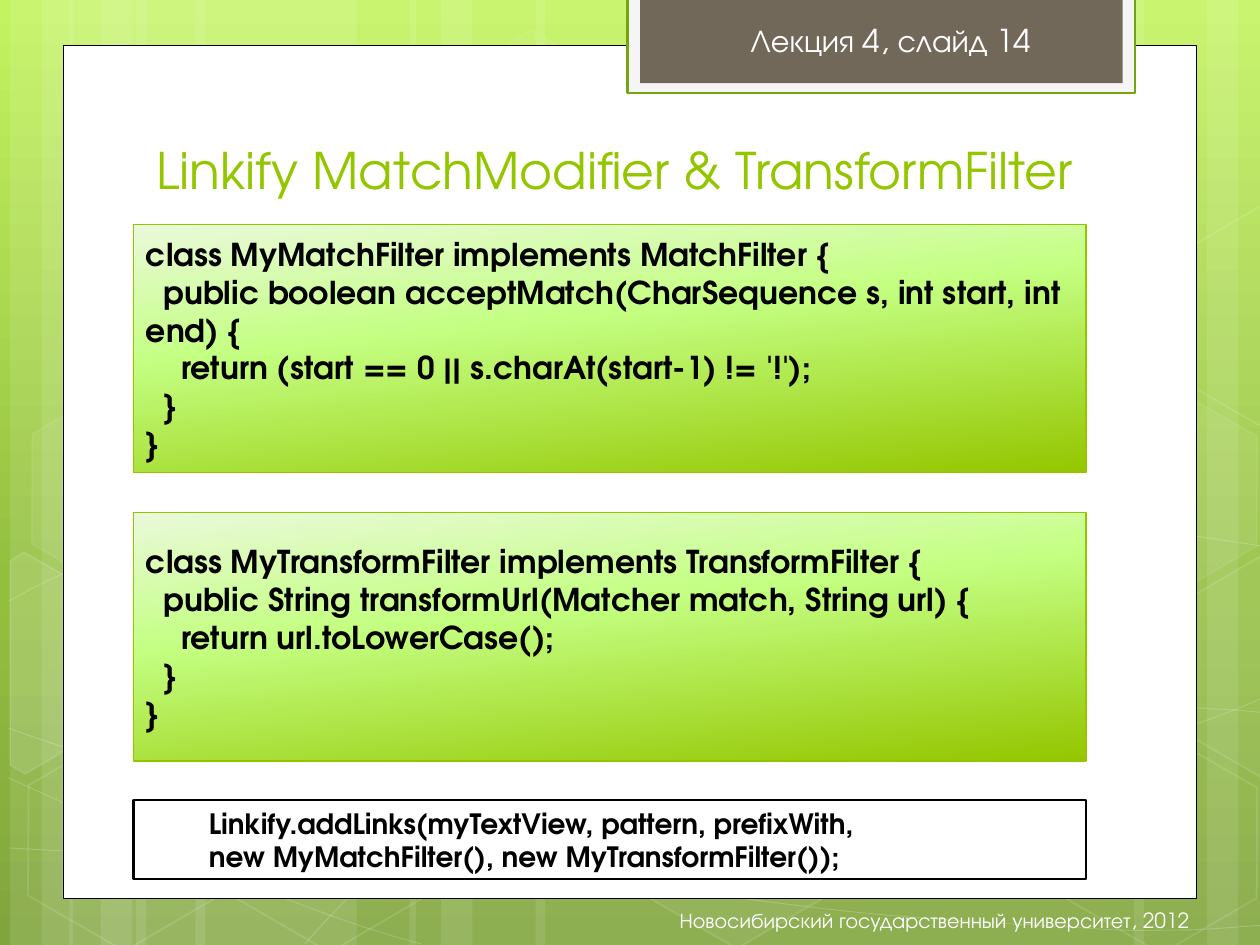
from copy import deepcopy
from math import cos, radians, sin
from typing import NamedTuple

from lxml.etree import SubElement
from pptx import Presentation
from pptx.dml.color import RGBColor
from pptx.enum.shapes import MSO_SHAPE
from pptx.enum.text import MSO_ANCHOR, PP_ALIGN
from pptx.oxml.ns import qn
from pptx.util import Cm, Pt

FONT = "TeX Gyre Adventor"
COLORS = {
    "white": "FFFFFF", "black": "000000", "lime": "94C600", "moss": "74A510",
    "tab_edge": "F5F5F5", "tab": "71685A",
}
PAGE_GRADIENT = [(0, "C3F35F"), (0.62, "93BF3F"), (1, "81A53E")]
CODE_GRADIENT = [(0, "EAF9DA"), (0.4, "C4FF82"), (1, "94C600")]

# Backdrop geometry, in inches from the corner of the page
STRIPES = [
    (1.08, 1.75), (0.08, 0.5), (0.33, 0.83), (1.55, 1.75), (0.55, 0.5), (0.8, 0.83),
    (7.33, 1.75), (9.58, 0.5), (9, 0.83), (4.25, 3.08), (3.25, 0.5), (3.5, 0.83),
]
# Each curve: a start point, then two control points and an end point per segment
CURVES = [
    [(0.07, 6.73), (0.61, 6.76), (1.15, 6.79), (1.9, 6.78), (2.65, 6.77), (3.58, 6.75),
     (4.58, 6.65), (5.58, 6.55), (7, 6.36), (7.92, 6.17), (8.83, 5.98), (9.77, 5.68),
     (10.07, 5.51)],
    [(0.07, 4.77), (0.36, 4.61), (0.65, 4.46), (1.21, 4.31), (1.78, 4.16), (2.59, 3.94),
     (3.47, 3.87), (4.36, 3.8), (5.44, 3.79), (6.54, 3.87), (7.64, 3.95), (9.47, 4.26),
     (10.07, 4.34)],
    [(0.06, 6.17), (1.27, 6.72), (2.47, 7.27), (3.34, 7.49)],
    [(0.07, 5.78), (0.38, 5.89), (0.7, 6), (1.28, 6.16), (1.86, 6.31), (2.73, 6.56),
     (3.57, 6.73), (4.4, 6.9), (5.45, 7.08), (6.28, 7.18), (7.11, 7.29), (8, 7.33),
     (8.53, 7.36), (9.05, 7.4), (9.19, 7.38), (9.45, 7.38), (9.71, 7.37), (9.89, 7.35),
     (10.07, 7.34)],
    [(2.42, 7.49), (2.6, 7.29), (2.78, 7.09), (3.02, 6.91), (3.26, 6.73), (3.6, 6.53),
     (3.88, 6.39), (4.16, 6.25), (4.33, 6.19), (4.7, 6.09), (5.06, 5.99), (5.73, 5.85),
     (6.08, 5.78), (6.44, 5.71), (6.49, 5.71), (6.8, 5.69), (7.11, 5.66), (7.6, 5.63),
     (7.94, 5.62), (8.29, 5.61), (8.86, 5.62), (8.86, 5.62), (9.08, 5.62), (9.31, 5.62),
     (9.53, 5.62), (9.71, 5.63), (9.88, 5.64), (9.97, 5.65), (10.06, 5.66), (10.03, 5.65),
     (10.06, 5.66)],
]
TILT = 30
# Left, top, fill opacity and line opacity in percent
HEXAGONS = [
    (3.34, 0.36, 4, 8), (4.97, 5.89, 6, 12), (0.11, 5.91, 0, 12), (0.14, 3.12, 7, 8),
    (1.74, 5.92, 0, 12), (7.53, 4.53, 10, 12), (8.34, 5.93, 0, 12), (8.34, 3.14, 7, 8),
]
# Centre, corners as they show after the tilt, fill opacity
CUT_HEXAGONS = [
    ((0.36, 5.35), [(0.08, 4.45), (0.19, 4.38), (0.96, 4.82), (0.95, 5.7), (0.2, 6.14),
                    (0.08, 6.07)], 10),
    ((9.85, 5.2), [(9.26, 4.85), (10.01, 4.41), (10.09, 4.46), (10.09, 6.13), (10.02, 6.17),
                   (9.26, 5.73)], 4),
    ((9.85, 2.41), [(9.26, 2.07), (10.01, 1.63), (10.1, 1.68), (10.09, 3.35), (10.02, 3.39),
                    (9.26, 2.95)], 0),
]


class Box(NamedTuple):
    left: float
    top: float
    width: float
    height: float

    def inner(self, left, top, width, height):
        return Box(self.left + left, self.top + top, width, height)

    def lengths(self):
        return [inches(value) for value in self]


def inches(value):
    return Cm(value * 2.54)


def rgb(name):
    return RGBColor.from_string(COLORS[name])


def set_opacity(parent, percent):
    color = next(parent.iter(qn("a:srgbClr")))
    SubElement(color, qn("a:alpha")).set("val", str(percent * 1000))


def paint_gradient(fill, owner, stops, clockwise_angle):
    fill.gradient()
    stop_list = next(owner.iter(qn("a:gsLst")))
    stop_list.append(deepcopy(stop_list[-1]))
    for stop, (position, color) in zip(fill.gradient_stops, stops):
        stop.position = position
        stop.color.rgb = RGBColor.from_string(color)
    fill.gradient_angle = 360 - clockwise_angle


def style(shape, fill=None, opacity=100, line=None, weight=1, line_opacity=100):
    shape.shadow.inherit = False
    if fill and opacity:
        shape.fill.solid()
        shape.fill.fore_color.rgb = rgb(fill)
        if opacity < 100:
            set_opacity(shape.element.spPr, opacity)
    else:
        shape.fill.background()
    if line:
        shape.line.color.rgb = rgb(line)
        shape.line.width = Pt(weight)
        if line_opacity < 100:
            set_opacity(shape.element.spPr.find(qn("a:ln")), line_opacity)
    else:
        shape.line.fill.background()


def add_rectangle(page, box, **look):
    shape = page.shapes.add_shape(MSO_SHAPE.RECTANGLE, *box.lengths())
    style(shape, **look)
    return shape


def add_outline(page, box, points, closed, **look):
    start, *rest = [(inches(x), inches(y)) for x, y in points]
    builder = page.shapes.build_freeform(*start)
    builder.add_line_segments(rest, close=closed)
    shape = builder.convert_to_shape(inches(box.left), inches(box.top))
    style(shape, **look)
    return shape


def bend(shape):
    """Turn each three straight segments into one cubic curve."""
    segments = list(shape.element.iter(qn("a:lnTo")))
    for first in range(0, len(segments), 3):
        curve = SubElement(segments[first].getparent(), qn("a:cubicBezTo"))
        for segment in segments[first:first + 3]:
            curve.append(segment[0])
            segment.getparent().remove(segment)


def turn(point, centre, degrees):
    x, y = point[0] - centre[0], point[1] - centre[1]
    c, s = cos(radians(degrees)), sin(radians(degrees))
    return centre[0] + x * c - y * s, centre[1] + x * s + y * c


def write_text(shape, text, size, color="white", bold=False, align=PP_ALIGN.LEFT,
               anchor=MSO_ANCHOR.MIDDLE, wrap=True, indent=0):
    frame = shape.text_frame
    frame.word_wrap = wrap
    frame.vertical_anchor = anchor
    for number, line in enumerate(text.split("\n")):
        para = frame.add_paragraph() if number else frame.paragraphs[0]
        para.alignment = align
        if indent:
            para.level = 1
            properties = para._p.get_or_add_pPr()
            properties.set("marL", str(inches(indent)))
            properties.set("indent", "0")
        span = para.add_run()
        span.text = line
        span.font.name, span.font.size, span.font.bold = FONT, Pt(size), bold
        span.font.color.rgb = rgb(color)


def add_text(page, box, text, size, **format):
    write_text(page.shapes.add_textbox(*box.lengths()), text, size, **format)


def add_backdrop(page, box):
    paint_gradient(page.background.fill, page.element, PAGE_GRADIENT, 90)
    for left, width in STRIPES:
        add_rectangle(page, box.inner(left, 0, width, box.height), fill="white", opacity=10)
    for knots in CURVES:
        bend(add_outline(page, box, knots, False, line="white", weight=0.5, line_opacity=20))
    for left, top, opacity, line_opacity in HEXAGONS:
        place = box.inner(left, top, 1.75, 1.52)
        hexagon = page.shapes.add_shape(MSO_SHAPE.HEXAGON, *place.lengths())
        hexagon.adjustments[0] = 0.285
        hexagon.rotation = TILT
        style(hexagon, fill="white", opacity=opacity, line="white", line_opacity=line_opacity)
    for centre, corners, opacity in CUT_HEXAGONS:
        upright = [turn(corner, centre, -TILT) for corner in corners]
        add_outline(page, box, upright, True, fill="white", opacity=opacity,
                    line="white", line_opacity=12).rotation = TILT


def add_lecture_tab(page, box, text):
    add_rectangle(page, box, fill="tab_edge", line="moss", weight=1.25)
    add_rectangle(page, box.inner(0.1, 0, 3.83, 0.68), fill="tab")
    add_text(page, box.inner(0.88, 0.14, 2.59, 0.4), text, 18,
             anchor=MSO_ANCHOR.TOP, wrap=False)


def add_code_panel(page, box, code):
    panel = add_rectangle(page, box, line="lime", weight=0.75)
    paint_gradient(panel.fill, panel.element.spPr, CODE_GRADIENT, 84)
    write_text(panel, code, 18, color="black", bold=True)


def add_call_panel(page, box, code):
    panel = add_rectangle(page, box, fill="white", line="black", weight=1.25)
    write_text(panel, code, 16, color="black", bold=True, indent=0.5)


MATCH_CODE = """class MyMatchFilter implements MatchFilter {
  public boolean acceptMatch(CharSequence s, int start, int end) {
    return (start == 0 || s.charAt(start-1) != '!');
  }
}"""
TRANSFORM_CODE = """class MyTransformFilter implements TransformFilter {
  public String transformUrl(Matcher match, String url) {
    return url.toLowerCase();
  }
}"""
CALL_CODE = """Linkify.addLinks(myTextView, pattern, prefixWith,
new MyMatchFilter(), new MyTransformFilter());"""


def main():
    deck = Presentation()
    deck.slide_width, deck.slide_height = inches(10), inches(7.5)
    page = deck.slides.add_slide(deck.slide_layouts[6])
    add_backdrop(page, Box(0, 0, 10, 7.5))
    add_rectangle(page, Box(0.5, 0.36, 9, 6.77), fill="white", line="black", weight=0.5)
    add_lecture_tab(page, Box(4.98, -0.02, 4.03, 0.76), "Лекция 4, слайд 14")
    add_text(page, Box(1.14, 0.82, 7.68, 0.81), "Linkify MatchModifier & TransformFilter",
             28.8, color="lime", anchor=MSO_ANCHOR.BOTTOM)
    add_text(page, Box(3.11, 7.1, 6.43, 0.4),
             "Новосибирский государственный университет, 2012", 12, align=PP_ALIGN.RIGHT)
    for top, code in ((1.78, MATCH_CODE), (4.07, TRANSFORM_CODE)):
        add_code_panel(page, Box(1.06, top, 7.56, 1.97), code)
    add_call_panel(page, Box(1.06, 6.35, 7.56, 0.63), CALL_CODE)
    deck.save("out.pptx")


if __name__ == "__main__":
    main()
